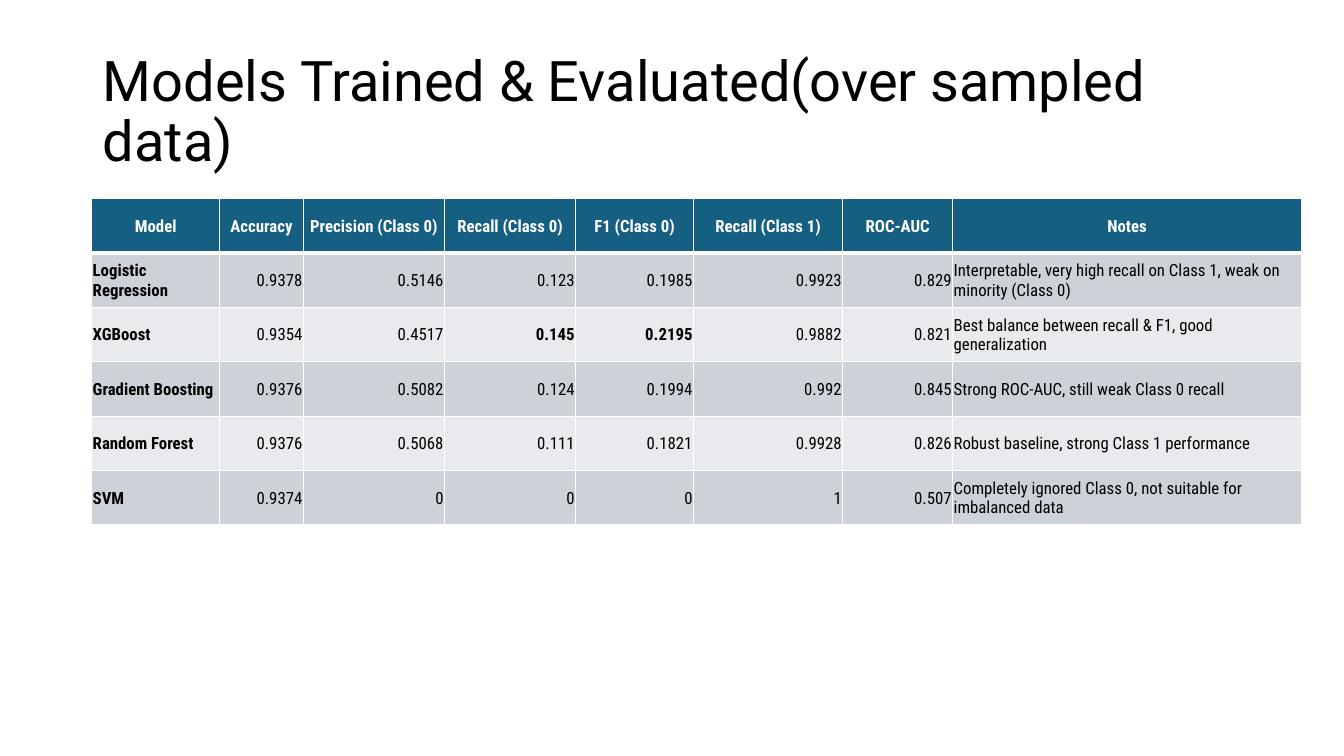
import pptx
import pptx.util
import pptx.dml.color
import pptx.enum.text
import lxml.etree
from pptx.util import Inches

ALIGN = pptx.enum.text.PP_ALIGN
MIDDLE = pptx.enum.text.MSO_ANCHOR.MIDDLE
DRAWING_NS = "http://schemas.openxmlformats.org/drawingml/2006/main"

TITLE = "Models Trained & Evaluated(over sampled data)"
HEADINGS = ["Model", "Accuracy", "Precision (Class 0)", "Recall (Class 0)",
            "F1 (Class 0)", "Recall (Class 1)", "ROC-AUC", "Notes"]
RESULTS = [
    ["Logistic Regression", "0.9378", "0.5146", "0.123", "0.1985", "0.9923", "0.829",
     "Interpretable, very high recall on Class 1, weak on minority (Class 0)"],
    ["XGBoost", "0.9354", "0.4517", "0.145", "0.2195", "0.9882", "0.821",
     "Best balance between recall & F1, good generalization"],
    ["Gradient Boosting", "0.9376", "0.5082", "0.124", "0.1994", "0.992", "0.845",
     "Strong ROC-AUC, still weak Class 0 recall"],
    ["Random Forest", "0.9376", "0.5068", "0.111", "0.1821", "0.9928", "0.826",
     "Robust baseline, strong Class 1 performance"],
    ["SVM", "0.9374", "0", "0", "0", "1", "0.507",
     "Completely ignored Class 0, not suitable for imbalanced data"],
]
BEST_SCORES = {(2, 3), (2, 4)}
COLUMN_WIDTHS = [1.27, 0.83, 1.4, 1.3, 1.17, 1.48, 1.09, 3.46]
ROW_HEIGHT = 0.54
NOTES_COLUMN = len(HEADINGS) - 1


def rgb(color):
    return pptx.dml.color.RGBColor.from_string(color)


def add_run(paragraph, text, size, font, color, bold=False):
    run = paragraph.add_run()
    run.text = text
    run.font.size = pptx.util.Pt(size)
    run.font.name = font
    run.font.bold = bold
    run.font.color.rgb = rgb(color)


def set_title(slide):
    title = slide.shapes.title
    title.left, title.top = Inches(0.92), Inches(0.4)
    title.width, title.height = Inches(11.5), Inches(1.45)
    frame = title.text_frame
    frame.auto_size = pptx.enum.text.MSO_AUTO_SIZE.NONE
    frame.word_wrap = True
    frame.vertical_anchor = MIDDLE
    heading = frame.paragraphs[0]
    heading.alignment = ALIGN.LEFT
    heading.line_spacing = 0.9
    add_run(heading, TITLE, 40, "Roboto", "000000")


def set_borders(cell, top, bottom):
    properties = cell._tc.get_or_add_tcPr()
    for position, (side, points) in enumerate(
            [("lnL", 1), ("lnR", 1), ("lnT", top), ("lnB", bottom)]):
        border = lxml.etree.Element(f"{{{DRAWING_NS}}}{side}", w=str(pptx.util.Pt(points)))
        fill = lxml.etree.SubElement(border, f"{{{DRAWING_NS}}}solidFill")
        lxml.etree.SubElement(fill, f"{{{DRAWING_NS}}}srgbClr", val="FFFFFF")
        properties.insert(position, border)


def fill_cell(cell, text, row, column):
    is_header = row == 0
    if is_header:
        background, alignment = "156082", ALIGN.CENTER
    else:
        background = "CCD2D8" if row % 2 else "E8EAED"
        alignment = ALIGN.LEFT if column in (0, NOTES_COLUMN) else ALIGN.RIGHT
    cell.fill.solid()
    cell.fill.fore_color.rgb = rgb(background)
    set_borders(cell, top=3 if row == 1 else 1, bottom=3 if is_header else 1)
    cell.vertical_anchor = MIDDLE
    cell.margin_left = cell.margin_right = cell.margin_top = Inches(0.01)
    cell.margin_bottom = 0
    paragraph = cell.text_frame.paragraphs[0]
    paragraph.alignment = alignment
    add_run(paragraph, text, 12, "Roboto Condensed",
            "FFFFFF" if is_header else "000000",
            is_header or column == 0 or (row, column) in BEST_SCORES)


def add_results_table(slide):
    rows = [HEADINGS] + RESULTS
    results = slide.shapes.add_table(
        len(rows), len(HEADINGS), Inches(0.91), Inches(1.97),
        Inches(sum(COLUMN_WIDTHS)), Inches(ROW_HEIGHT * len(rows))).table
    for column, width in zip(results.columns, COLUMN_WIDTHS):
        column.width = Inches(width)
    for row, texts in enumerate(rows):
        results.rows[row].height = Inches(ROW_HEIGHT)
        for column, text in enumerate(texts):
            fill_cell(results.cell(row, column), text, row, column)


def main():
    deck = pptx.Presentation()
    deck.slide_width, deck.slide_height = Inches(13.33), Inches(7.5)
    slide = deck.slides.add_slide(deck.slide_layouts.get_by_name("Title Only"))
    set_title(slide)
    add_results_table(slide)
    deck.save("out.pptx")


if __name__ == "__main__":
    main()
